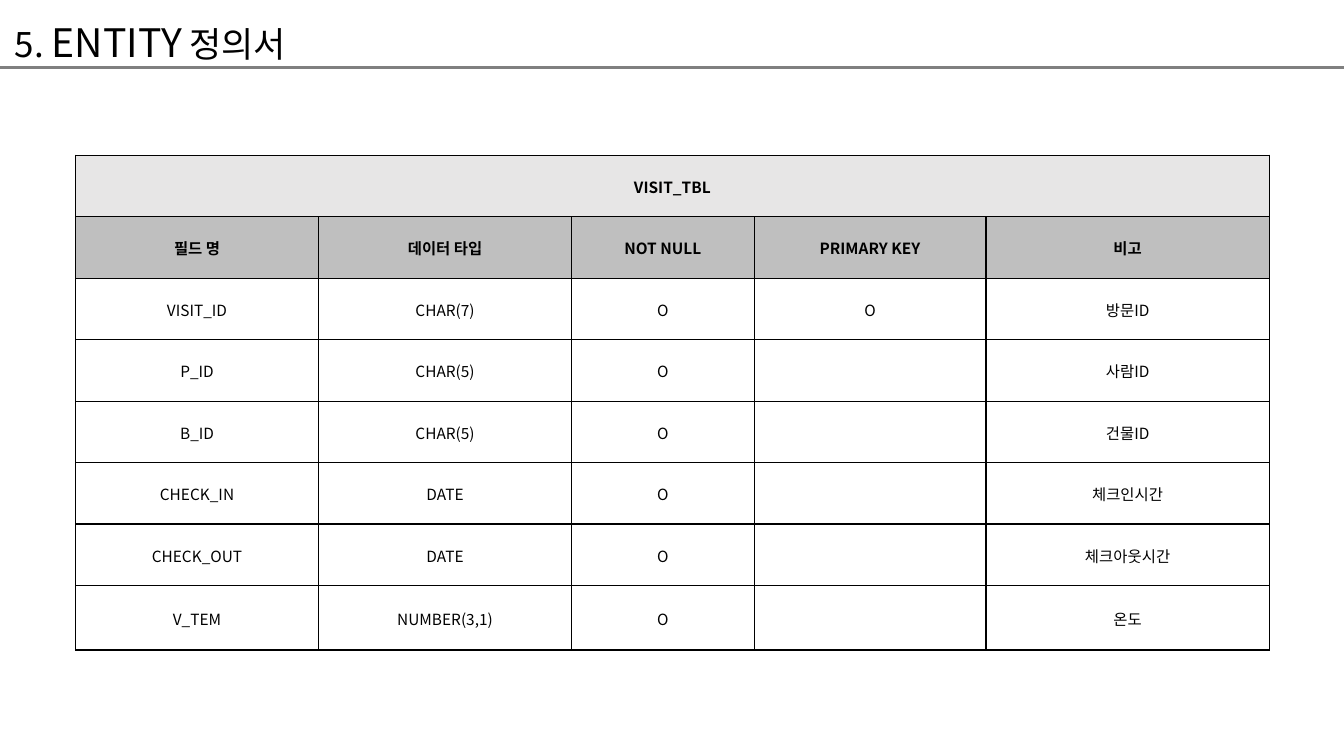
import dataclasses
import lxml.etree
import pptx
import pptx.dml.color
import pptx.enum.shapes
import pptx.enum.text
import pptx.oxml.ns
import pptx.util

Inches = pptx.util.Inches
qn = pptx.oxml.ns.qn
ALIGN = pptx.enum.text.PP_ALIGN
ANCHOR = pptx.enum.text.MSO_ANCHOR


@dataclasses.dataclass(frozen=True)
class Theme:
    font: str = "Noto Sans CJK KR"
    ink: str = "000000"
    rule: str = "808080"
    name_fill: str = "E7E6E6"
    heading_fill: str = "BFBFBF"
    title_size: float = 25
    entity_size: float = 28
    table_size: float = 11
    rule_width: float = 2.25
    border_width: float = 1


THEME = Theme()
COLUMN_WIDTHS = [2.41, 2.51, 1.81, 2.3, 2.81]
ROW_HEIGHTS = [0.61] * 7 + [0.64]
TABLE_NAME = "VISIT_TBL"
HEADINGS = ["필드 명", "데이터 타입", "NOT NULL", "PRIMARY KEY", "비고"]
FIELDS = [
    ["VISIT_ID", "CHAR(7)", "O", "O", "방문ID"],
    ["P_ID", "CHAR(5)", "O", "", "사람ID"],
    ["B_ID", "CHAR(5)", "O", "", "건물ID"],
    ["CHECK_IN", "DATE", "O", "", "체크인시간"],
    ["CHECK_OUT", "DATE", "O", "", "체크아웃시간"],
    ["V_TEM", "NUMBER(3,1)", "O", "", "온도"],
]


def rgb(value):
    return pptx.dml.color.RGBColor.from_string(value)


def write(paragraph, text, size, bold=False, color=THEME.ink, align=ALIGN.LEFT):
    paragraph.alignment = align
    run = paragraph.add_run()
    run.text = text
    run.font.size = pptx.util.Pt(size)
    run.font.bold = bold
    run.font.name = THEME.font
    run.font.color.rgb = rgb(color)
    east_asian = lxml.etree.SubElement(run.font._element, qn("a:ea"))
    east_asian.set("typeface", THEME.font)


def draw_borders(cell):
    properties = cell._tc.get_or_add_tcPr()
    for index, side in enumerate(("lnL", "lnR", "lnT", "lnB")):
        border = lxml.etree.Element(qn(f"a:{side}"), w=str(pptx.util.Pt(THEME.border_width)))
        fill = lxml.etree.SubElement(border, qn("a:solidFill"))
        lxml.etree.SubElement(fill, qn("a:srgbClr"), val=THEME.ink)
        properties.insert(index, border)


def fill_cell(cell, text, bold, fill):
    cell.vertical_anchor = ANCHOR.MIDDLE
    cell.margin_left = cell.margin_right = cell.margin_top = Inches(0.01)
    cell.margin_bottom = 0
    if fill:
        cell.fill.solid()
        cell.fill.fore_color.rgb = rgb(fill)
    else:
        cell.fill.background()
    draw_borders(cell)
    if text:
        write(cell.text_frame.paragraphs[0], text, THEME.table_size, bold=bold, align=ALIGN.CENTER)


def add_header(slide, left, top, width, height):
    baseline = top + height
    rule = slide.shapes.add_connector(
        pptx.enum.shapes.MSO_CONNECTOR.STRAIGHT, left, baseline, left + width, baseline)
    rule.line.color.rgb = rgb(THEME.rule)
    rule.line.width = pptx.util.Pt(THEME.rule_width)
    lxml.etree.SubElement(rule._element.spPr, qn("a:effectLst"))

    title = slide.shapes.add_textbox(
        left + Inches(0.05), top + Inches(0.13), int(width * 0.45), Inches(0.57))
    title.text_frame.word_wrap = True
    paragraph = title.text_frame.paragraphs[0]
    write(paragraph, "5. ", THEME.title_size)
    write(paragraph, "ENTITY", THEME.entity_size)
    write(paragraph, " 정의서", THEME.title_size)


def add_entity_table(slide, left, top, width, height):
    table = slide.shapes.add_table(
        len(ROW_HEIGHTS), len(COLUMN_WIDTHS), left, top, width, height).table
    table.first_row = table.horz_banding = False
    for column, share in zip(table.columns, COLUMN_WIDTHS):
        column.width = int(width * share / sum(COLUMN_WIDTHS))
    for row, share in zip(table.rows, ROW_HEIGHTS):
        row.height = int(height * share / sum(ROW_HEIGHTS))

    name_row = [TABLE_NAME] + [""] * (len(HEADINGS) - 1)
    fills = [THEME.name_fill, THEME.heading_fill] + [None] * len(FIELDS)
    for row, (texts, fill) in enumerate(zip([name_row, HEADINGS, *FIELDS], fills)):
        for column, text in enumerate(texts):
            fill_cell(table.cell(row, column), text, bold=fill is not None, fill=fill)
    table.cell(0, 0).merge(table.cell(0, len(HEADINGS) - 1))


def build_entity_slide(deck):
    slide = deck.slides.add_slide(deck.slide_layouts[6])
    add_header(slide, 0, 0, deck.slide_width, Inches(0.67))
    add_entity_table(slide, Inches(0.75), Inches(1.54),
                     Inches(sum(COLUMN_WIDTHS)), Inches(sum(ROW_HEIGHTS)))


deck = pptx.Presentation()
deck.slide_width = Inches(13.33)
deck.slide_height = Inches(7.5)
build_entity_slide(deck)
deck.save("out.pptx")
